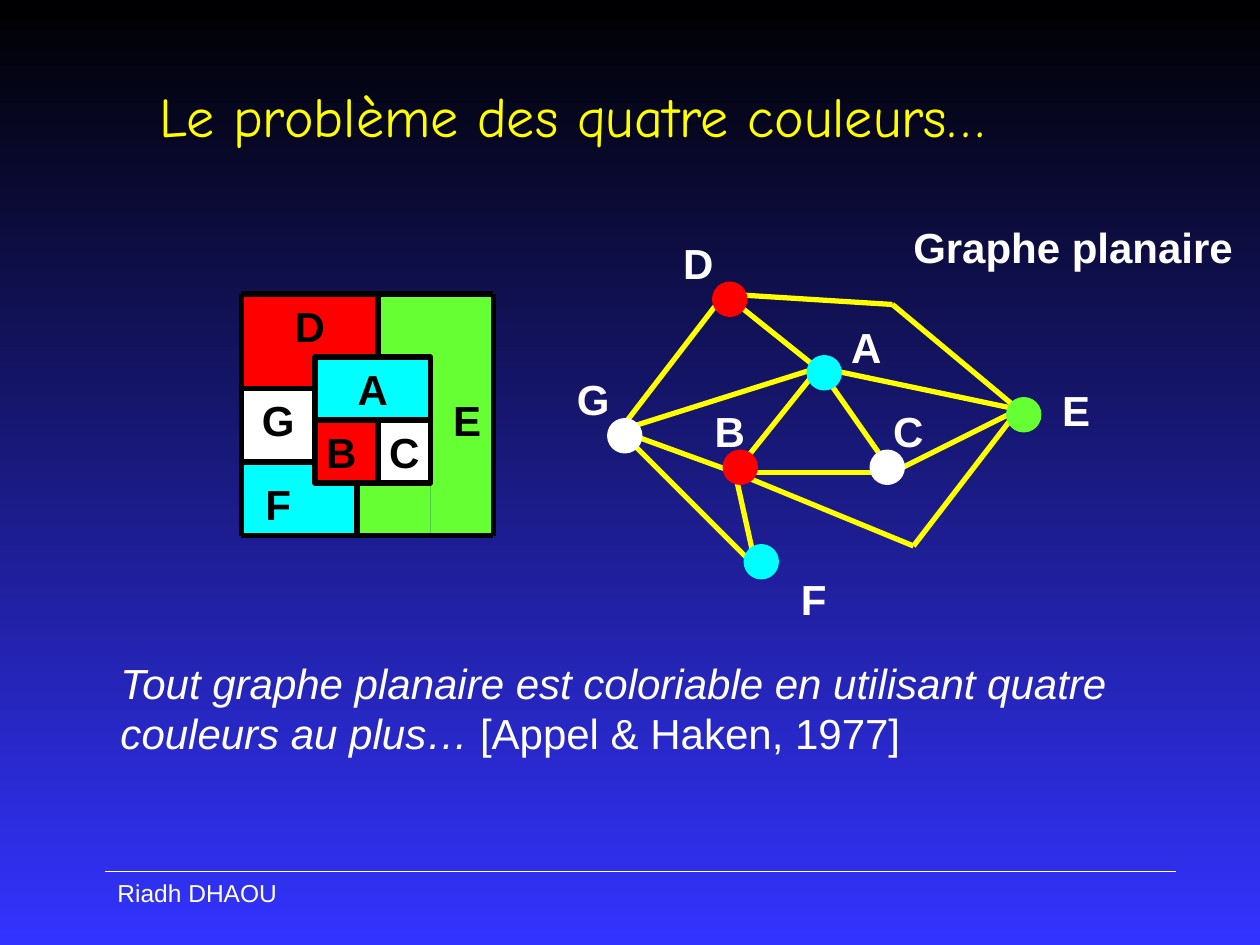
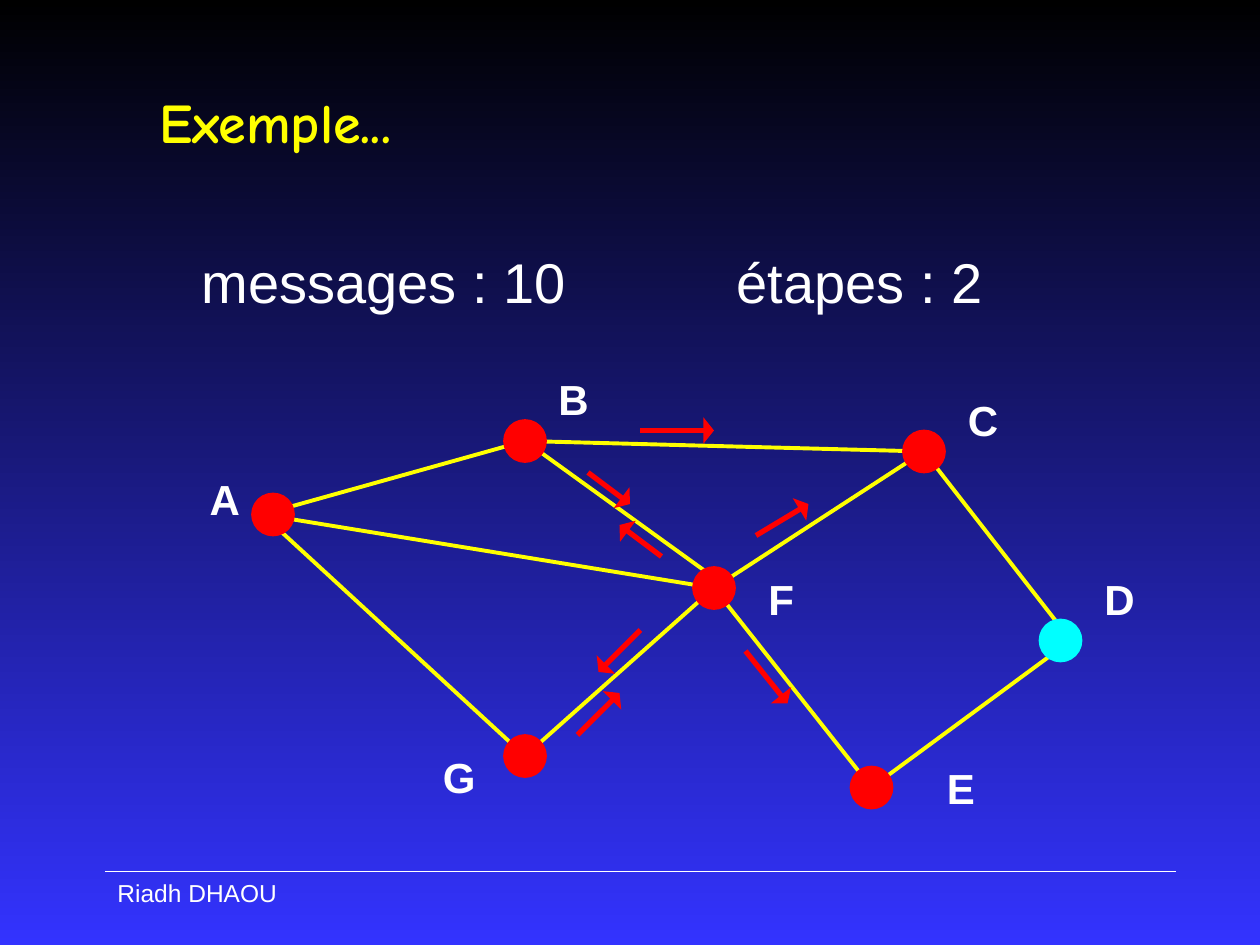
from dataclasses import dataclass
from typing import NamedTuple

from lxml.etree import SubElement
from pptx import Presentation
from pptx.dml.color import RGBColor
from pptx.enum.shapes import MSO_CONNECTOR, MSO_SHAPE
from pptx.enum.text import MSO_ANCHOR, PP_ALIGN
from pptx.oxml.ns import qn
from pptx.util import Pt

COLOURS = {
    "black": "000000",
    "white": "FFFFFF",
    "blue": "3333FF",
    "yellow": "FFFF00",
    "red": "FF0000",
    "cyan": "00FFFF",
    "green": "66FF33",
}
TITLE_FONT = "Comic Neue"
TEXT_FONT = "Arial"
GRID_STEP = 6


class Box(NamedTuple):
    left: float
    top: float
    width: float
    height: float


class Point(NamedTuple):
    x: float
    y: float


class Region(NamedTuple):
    box: Box
    colour: str
    outlined: bool = False


class Label(NamedTuple):
    text: str
    left: float
    top: float


class Node(NamedTuple):
    corner: Point
    joint: Point
    label: Point
    colour: str = "red"


@dataclass(frozen=True)
class Graph:
    nodes: dict[str, Node]
    bends: dict[str, Point]
    edges: list[str]
    diameter: float
    outline: float
    edge_width: float
    label_width: float
    label_align: PP_ALIGN


def grid(units: float) -> Pt:
    return Pt(units * GRID_STEP)


def colour(name: str) -> RGBColor:
    return RGBColor.from_string(COLOURS[name])


def place(box: Box) -> list[Pt]:
    return [grid(value) for value in box]


def add_text(page, box: Box, *parts: str, size: float = 24, font: str = TEXT_FONT,
             ink: str = "white", bold: bool = False, italics: tuple[bool, ...] = (),
             align: PP_ALIGN = PP_ALIGN.LEFT, anchor: MSO_ANCHOR = MSO_ANCHOR.TOP,
             wrap: bool = True) -> None:
    frame = page.shapes.add_textbox(*place(box)).text_frame
    frame.word_wrap = wrap
    frame.vertical_anchor = anchor
    para = frame.paragraphs[0]
    para.alignment = align
    for index, part in enumerate(parts):
        span = para.add_run()
        span.text = part
        span.font.size = Pt(size)
        span.font.name = font
        span.font.bold = bold
        span.font.italic = index < len(italics) and italics[index]
        span.font.color.rgb = colour(ink)


def add_label(page, text: str, left: float, top: float, ink: str = "white",
              width: float = 7, align: PP_ALIGN = PP_ALIGN.CENTER) -> None:
    add_text(page, Box(left, top, width, 6), text, ink=ink, bold=True,
             align=align, anchor=MSO_ANCHOR.MIDDLE, wrap=False)


def add_shape(page, kind: MSO_SHAPE, box: Box, fill: str,
              outline: str | None = None, width: float = 0) -> None:
    shape = page.shapes.add_shape(kind, *place(box))
    shape.shadow.inherit = False
    shape.fill.solid()
    shape.fill.fore_color.rgb = colour(fill)
    if outline is None:
        shape.line.fill.background()
    else:
        shape.line.color.rgb = colour(outline)
        shape.line.width = Pt(width)


def add_line(page, start: Point, end: Point, ink: str, width: float,
             arrow: bool = False) -> None:
    line = page.shapes.add_connector(
        MSO_CONNECTOR.STRAIGHT, grid(start.x), grid(start.y), grid(end.x), grid(end.y))
    line.line.color.rgb = colour(ink)
    line.line.width = Pt(width)
    properties = line._element.spPr
    if arrow:
        SubElement(properties.find(qn("a:ln")), qn("a:tailEnd"),
                   type="triangle", w="lg", len="sm")
    SubElement(properties, qn("a:effectLst"))


def add_page(deck, title: str, title_box: Box, bold: bool = False):
    page = deck.slides.add_slide(deck.slide_layouts[6])
    fill = page.background.fill
    fill.gradient()
    fill.gradient_angle = 270
    for stop, name in zip(fill.gradient_stops, ("black", "blue")):
        stop.color.rgb = colour(name)
    add_line(page, Point(10, 83), Point(112, 83), "white", 1)
    add_text(page, Box(10, 83, 23, 4), "Riadh DHAOU", size=14)
    add_text(page, title_box, title, size=32, font=TITLE_FONT, ink="yellow",
             bold=bold, anchor=MSO_ANCHOR.MIDDLE)
    return page


def draw_graph(page, graph: Graph) -> None:
    joints = {name: node.joint for name, node in graph.nodes.items()} | graph.bends
    for start, end in graph.edges:
        add_line(page, joints[start], joints[end], "yellow", graph.edge_width)
    for node in graph.nodes.values():
        add_shape(page, MSO_SHAPE.OVAL, Box(*node.corner, graph.diameter, graph.diameter),
                  node.colour, node.colour, graph.outline)
    for name, node in graph.nodes.items():
        add_label(page, name, *node.label, width=graph.label_width, align=graph.label_align)


MAP_REGIONS = [
    Region(Box(36, 28, 11, 6), "green"),
    Region(Box(41, 34, 6, 17), "green"),
    Region(Box(34, 46, 7, 5), "green"),
    Region(Box(36, 40, 5, 6), "white", True),
    Region(Box(23, 28, 13, 6), "red"),
    Region(Box(23, 34, 7, 3), "red"),
    Region(Box(23, 44, 7, 7), "cyan"),
    Region(Box(30, 46, 4, 5), "cyan"),
    Region(Box(30, 40, 6, 6), "red", True),
    Region(Box(23, 37, 7, 7), "white", True),
    Region(Box(30, 34, 11, 6), "cyan", True),
]
MAP_BORDERS = [
    (Point(23, 28), Point(47, 28)),
    (Point(47, 28), Point(47, 51)),
    (Point(47, 51), Point(23, 51)),
    (Point(23, 51), Point(23, 44)),
    (Point(23, 37), Point(23, 28)),
    (Point(34, 46), Point(34, 51)),
    (Point(36, 34), Point(36, 28)),
]
MAP_LABELS = [
    Label("D", 26, 28), Label("E", 41, 37), Label("G", 23, 37), Label("F", 23, 45),
    Label("B", 29, 40), Label("A", 32, 34), Label("C", 35, 40),
]
PLANAR_GRAPH = Graph(
    nodes={
        "A": Node(Point(77, 34), Point(78, 35), Point(79, 30), "cyan"),
        "B": Node(Point(69, 43), Point(70, 45), Point(66, 38)),
        "C": Node(Point(83, 43), Point(85, 45), Point(83, 38), "white"),
        "E": Node(Point(96, 38), Point(97, 39), Point(99, 36), "green"),
        "D": Node(Point(68, 27), Point(69, 28), Point(63, 22)),
        "G": Node(Point(58, 40), Point(59, 41), Point(53, 35), "white"),
        "F": Node(Point(71, 52), Point(72, 54), Point(74, 54), "cyan"),
    },
    bends={"a": Point(79, 36), "t": Point(85, 29), "u": Point(87, 52)},
    edges=["AC", "CB", "BA", "AE", "EC", "Eu", "uB", "BF", "FG", "GB", "GA", "GD",
           "Da", "Dt", "tE"],
    diameter=3, outline=2.25, edge_width=3, label_width=7, label_align=PP_ALIGN.CENTER,
)
MESSAGE_GRAPH = Graph(
    nodes={
        "A": Node(Point(24, 47), Point(25, 49), Point(18.8, 44.5)),
        "B": Node(Point(48, 40), Point(50, 42), Point(52, 35)),
        "G": Node(Point(48, 70), Point(50, 72), Point(41, 71)),
        "F": Node(Point(66, 54), Point(68, 56), Point(72, 54)),
        "E": Node(Point(81, 73), Point(83, 75), Point(89, 72)),
        "D": Node(Point(99, 59), Point(102, 61), Point(104, 54), "cyan"),
        "C": Node(Point(86, 41), Point(88, 43), Point(91, 37)),
    },
    bends={"f": Point(68, 55)},
    edges=["AB", "Bf", "FG", "GA", "AF", "FC", "CD", "DE", "EF", "BC"],
    diameter=4, outline=1, edge_width=2.25, label_width=5.3, label_align=PP_ALIGN.LEFT,
)
MESSAGE_ARROWS = [
    (Point(61, 41), Point(68, 41)),
    (Point(56, 45), Point(60, 48)),
    (Point(63, 53), Point(59, 50)),
    (Point(72, 51), Point(77, 48)),
    (Point(71, 62), Point(75, 67)),
    (Point(61, 60), Point(57, 64)),
    (Point(55, 70), Point(59, 66)),
]


def build_four_colours(deck) -> None:
    page = add_page(deck, "Le problème des quatre couleurs…", Box(14, 5, 102, 12))
    add_text(page, Box(10.3, 62, 102, 13),
             "Tout graphe planaire est coloriable en utilisant quatre couleurs au plus… ",
             "[Appel & Haken, 1977]", italics=(True, False))
    for region in MAP_REGIONS:
        add_shape(page, MSO_SHAPE.RECTANGLE, region.box, region.colour,
                  "black" if region.outlined else None, 3)
    for start, end in MAP_BORDERS:
        add_line(page, start, end, "black", 3)
    for label in MAP_LABELS:
        add_label(page, *label, ink="black")
    draw_graph(page, PLANAR_GRAPH)
    add_text(page, Box(85.8, 20.5, 32.9, 6), "Graphe planaire", bold=True, wrap=False)


def build_example(deck) -> None:
    page = add_page(deck, "Exemple...", Box(14, 4, 102, 15), bold=True)
    for left, text in ((18, "messages : 10"), (69, "étapes : 2")):
        add_text(page, Box(left, 23, 41, 8), text, size=32)
    draw_graph(page, MESSAGE_GRAPH)
    for start, end in MESSAGE_ARROWS:
        add_line(page, start, end, "red", 3, arrow=True)


def main() -> None:
    deck = Presentation()
    deck.slide_width = Pt(720)
    deck.slide_height = Pt(540)
    build_four_colours(deck)
    build_example(deck)
    deck.save("out.pptx")


if __name__ == "__main__":
    main()
